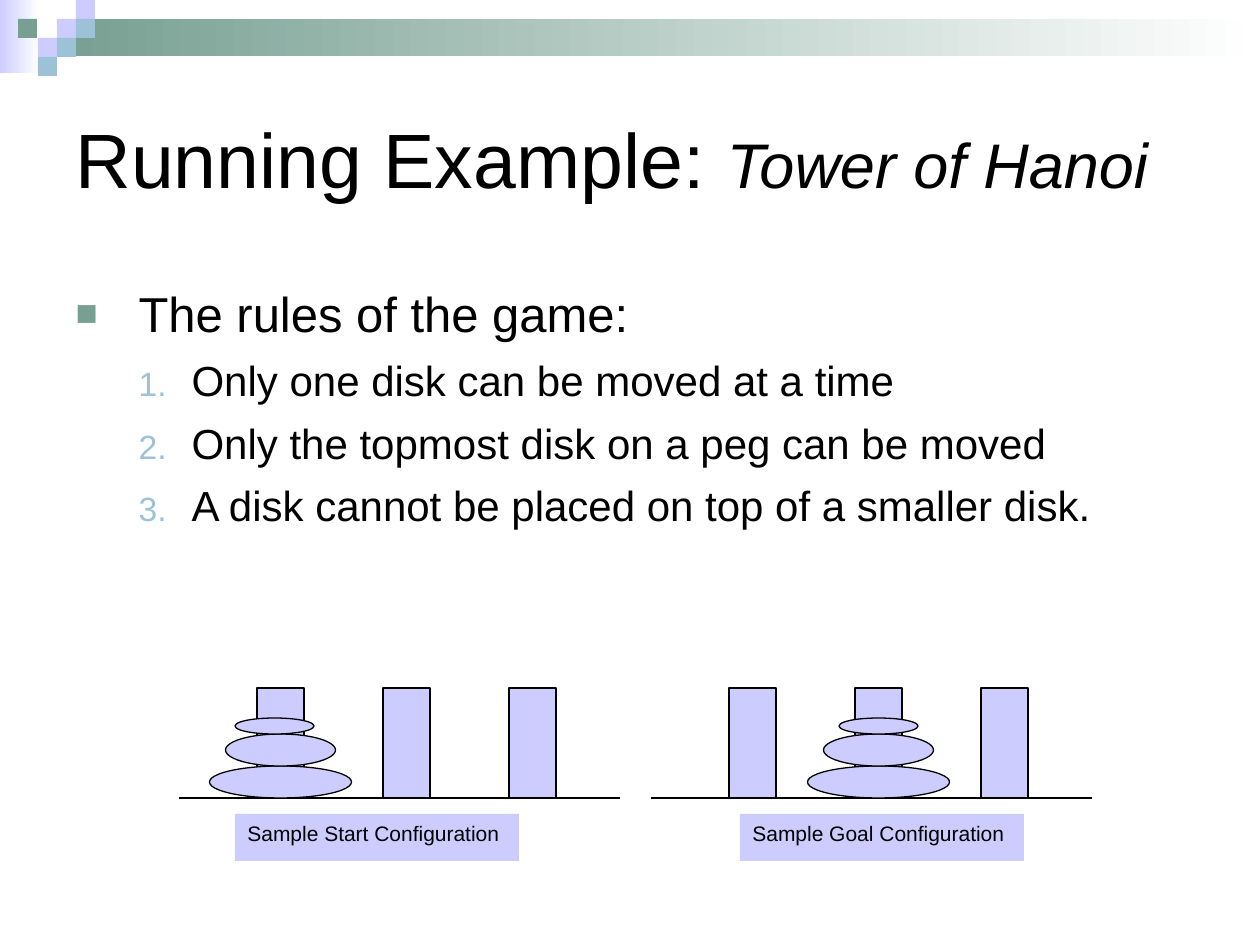
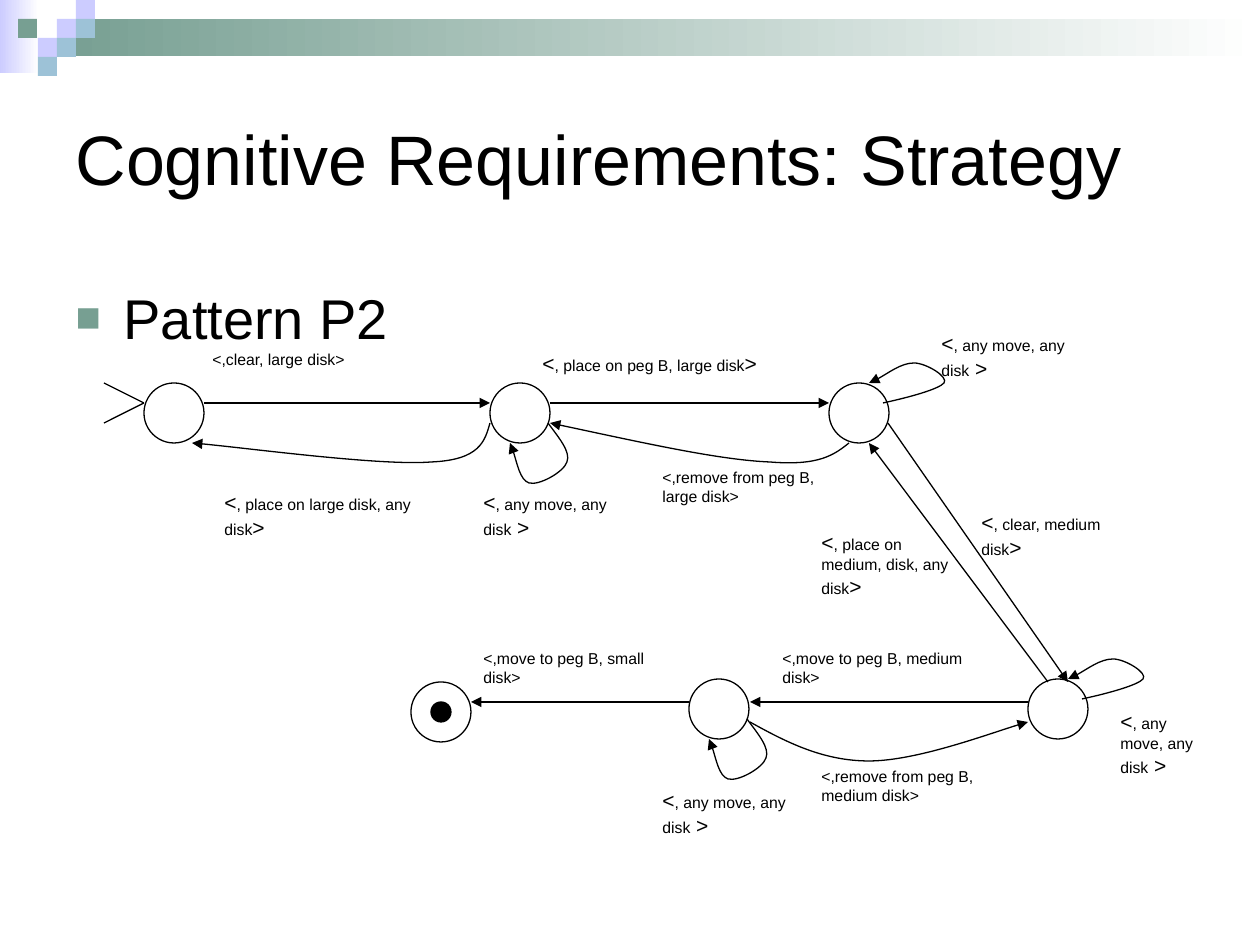
from dataclasses import dataclass

from lxml import etree
from pptx import Presentation
from pptx import util as u
from pptx.dml.color import RGBColor
from pptx.enum import shapes, text
from pptx.oxml.ns import qn


@dataclass(frozen=True)
class Theme:
    font: str = "Arial"
    black: str = "000000"
    white: str = "FFFFFF"
    lavender: str = "CCCCFF"
    green: str = "779F92"
    blue: str = "9DC2D7"
    hairline: float = 0.75
    title: int = 44
    title_long: int = 40
    subtitle: int = 36
    lead: int = 28
    lead_alone: int = 32
    rule: int = 24
    caption: int = 12
    bracket: int = 12
    label: int = 9


T = Theme()
SLIDE_W, SLIDE_H, PX_PER_INCH = 1260, 945, 126
SCALE = u.Inches(1) / PX_PER_INCH

# Shared frame: (left, top, width, height, colour)
FADES = [(0, 0, 39, 73, T.lavender), (57, 19, 1203, 37, T.green)]
SQUARE = 19
SQUARES = [(57, 19, T.lavender), (76, 0, T.lavender), (76, 19, T.blue),
           (38, 38, T.lavender), (18, 19, T.green), (57, 38, T.blue),
           (38, 57, T.blue)]
TITLE_BOX = (63, 63, 1134, 189)

# Slide 1
HANOI_TITLE = [("Running Example: ", T.title, False),
               ("Tower of Hanoi", T.subtitle, True)]
HANOI_BODY_BOX = (63, 277, 1134, 368)
RULES_LEAD = "The rules of the game:"
RULES = ["Only one disk can be moved at a time",
         "Only the topmost disk on a peg can be moved",
         "A disk cannot be placed on top of a smaller disk."]
PEG_W, PEG_H, PEG_STEP, PEG_INSET = 47, 110, 126, 78
GROUND_Y, GROUND_W = 798, 441
DISKS = [(142, 32), (110, 32), (79, 16)]  # bottom to top
# left edge, loaded peg, shift of the top disk, caption left, caption
BOARDS = [(179, 0, -6, 235, "Sample Start Configuration"),
          (651, 1, 0, 740, "Sample Goal Configuration")]
CAPTION_TOP, CAPTION_W, CAPTION_H = 814, 284, 47

# Slide 2
STRATEGY_TITLE = [("Cognitive Requirements: Strategy", T.title_long, False)]
STRATEGY_BODY_BOX = (63, 277, 1134, 536)
PATTERN = "Pattern P2"
STATE_D, FINAL_DOT_D = 60, 20
STATES = {"start": (144, 383), "large clear": (490, 383),
          "large placed": (829, 383), "medium clear": (1028, 679),
          "medium placed": (689, 679), "final": (411, 682)}
ANY_MOVE = "<, any move, any disk >"
# box, text, brackets set larger
LABELS = [((471, 643, 219, 59), "<,move to peg B, small disk>", False),
          ((809, 523, 159, 140), "<, place on medium, disk, any disk>", True),
          ((200, 344, 339, 40), "<,clear, large disk>", False),
          ((530, 344, 378, 40), "<, place on peg B, large disk>", True),
          ((212, 483, 219, 79), "<, place on large disk, any disk>", True),
          ((650, 462, 199, 59), "<,remove from peg B, large disk>", False),
          ((471, 483, 159, 79), ANY_MOVE, True),
          ((929, 324, 159, 79), ANY_MOVE, True),
          ((969, 503, 179, 79), "<, clear, medium disk>", True),
          ((770, 643, 219, 59), "<,move to peg B, medium disk>", False),
          ((650, 781, 159, 79), ANY_MOVE, True),
          ((1108, 702, 100, 120), ANY_MOVE, True),
          ((809, 761, 219, 59), "<,remove from peg B, medium disk>", False)]
ENTRY_MARK = [(104, 383, 144, 403), (144, 403, 104, 423)]
ARROWS = [(204, 403, 490, 403), (550, 403, 829, 403), (888, 423, 1068, 682),
          (1048, 682, 869, 443), (689, 702, 471, 702), (1028, 702, 750, 702)]
RETURN_CURVES = [
    [(490, 423), (485, 441), (480, 460), (431, 462), (381, 466), (232, 446), (192, 443)],
    [(849, 443), (834, 455), (819, 466), (770, 462), (719, 460), (635, 441), (550, 423)],
    [(750, 722), (786, 742), (823, 761), (869, 761), (916, 761), (1002, 729), (1028, 722)]]
# Self loops, measured from the corner of their state
LOOP_RIGHT = [(54, 20), (82, 14), (110, 6), (115, 0), (120, -6),
              (97, -20), (85, -20), (72, -20), (48, -2), (40, 0)]
LOOP_BELOW = [(58, 40), (69, 55), (81, 69), (77, 79), (74, 89),
              (49, 103), (39, 100), (30, 97), (24, 67), (20, 60)]
LOOPS = [("large placed", LOOP_RIGHT), ("medium clear", LOOP_RIGHT),
         ("large clear", LOOP_BELOW), ("medium placed", LOOP_BELOW)]


# Helpers
def px(*lengths):
    return [u.Emu(round(n * SCALE)) for n in lengths]


def rgb(colour):
    return RGBColor.from_string(colour)


def style_run(run, size, italic=False):
    run.font.name, run.font.size = T.font, u.Pt(size)
    run.font.italic = italic
    run.font.color.rgb = rgb(T.black)


def add_runs(paragraph, parts):
    paragraph.alignment = text.PP_ALIGN.LEFT
    for words, size, italic in parts:
        run = paragraph.add_run()
        run.text = words
        style_run(run, size, italic)


def outline(line):
    line.color.rgb = rgb(T.black)
    line.width = u.Pt(T.hairline)


def add_solid(slide, kind, box, fill, outlined=False):
    solid = slide.shapes.add_shape(kind, *px(*box))
    solid.shadow.inherit = False
    solid.fill.solid()
    solid.fill.fore_color.rgb = rgb(fill)
    if outlined:
        outline(solid.line)
    else:
        solid.line.fill.background()
    return solid


def add_label(slide, box, fill, parts):
    frame = add_solid(slide, shapes.MSO_SHAPE.RECTANGLE, box, fill).text_frame
    frame.word_wrap = True
    frame.vertical_anchor = text.MSO_ANCHOR.TOP
    add_runs(frame.paragraphs[0], parts)


def add_arrowhead(stroke):
    ln = stroke._element.spPr.find(qn("a:ln"))
    etree.SubElement(ln, qn("a:tailEnd"), type="triangle")


def add_line(slide, ends, arrow=False):
    line = slide.shapes.add_connector(shapes.MSO_CONNECTOR.STRAIGHT, *px(*ends))
    outline(line.line)
    if arrow:
        add_arrowhead(line)
    etree.SubElement(line._element.spPr, qn("a:effectLst"))


def add_curve(slide, points):
    """Draw cubic curves: a start, then two controls and an end for each."""
    builder = slide.shapes.build_freeform(*points[0], scale=SCALE)
    builder.add_line_segments(points[1:], close=False)
    curve = builder.convert_to_shape()
    path = curve._element.spPr.find(".//" + qn("a:path"))
    segments = path.findall(qn("a:lnTo"))
    for i in range(0, len(segments), 3):
        bezier = etree.SubElement(path, qn("a:cubicBezTo"))
        for segment in segments[i:i + 3]:
            bezier.append(segment[0])
            path.remove(segment)
    curve.shadow.inherit = False
    curve.fill.background()
    outline(curve.line)
    add_arrowhead(curve)


def set_bullet(paragraph, margin, hang, colour, percent, tag, **mark):
    pPr = paragraph._p.get_or_add_pPr()
    pPr.set("marL", str(px(margin)[0]))
    pPr.set("indent", str(px(-hang)[0]))
    etree.SubElement(etree.SubElement(pPr, qn("a:buClr")), qn("a:srgbClr"), val=colour)
    etree.SubElement(pPr, qn("a:buSzPct"), val=str(percent * 1000))
    etree.SubElement(pPr, qn("a:buFont"), typeface=T.font)
    etree.SubElement(pPr, qn(tag), **mark)


def place(holder, box):
    holder.left, holder.top, holder.width, holder.height = px(*box)
    holder.text_frame.auto_size = text.MSO_AUTO_SIZE.NONE
    holder.text_frame.word_wrap = True
    return holder.text_frame


def start_slide(prs, title_parts, body_box, lead, lead_size, hang):
    slide = prs.slides.add_slide(prs.slide_layouts[1])
    title = place(slide.shapes.title, TITLE_BOX)
    title.vertical_anchor = text.MSO_ANCHOR.MIDDLE
    add_runs(title.paragraphs[0], title_parts)
    body = place(slide.placeholders[1], body_box)
    body.text = lead
    first = body.paragraphs[0]
    set_bullet(first, hang, hang, T.green, 75, "a:buChar", char="■")
    first.space_before = u.Pt(0)
    style_run(first.runs[0], lead_size)
    return slide, body


def move_frame_to_master(prs, slide):
    """Draw the band and squares, then hand them to the slide master."""
    frame = []
    for *box, colour in FADES:
        fade = add_solid(slide, shapes.MSO_SHAPE.RECTANGLE, box, colour)
        fade.fill.gradient()
        fade.fill.gradient_angle = 0
        for stop, tint in zip(fade.fill.gradient_stops, (colour, T.white)):
            stop.color.rgb = rgb(tint)
        frame.append(fade)
    for x, y, colour in SQUARES:
        frame.append(add_solid(slide, shapes.MSO_SHAPE.RECTANGLE,
                               (x, y, SQUARE, SQUARE), colour))
    tree = prs.slide_master.shapes._spTree
    for depth, part in enumerate(frame, start=2):
        tree.insert(depth, part._element)


def add_board(slide, left, loaded, top_shift, caption_left, caption):
    peg_lefts = [left + PEG_INSET + i * PEG_STEP for i in range(3)]
    for x in peg_lefts:
        add_solid(slide, shapes.MSO_SHAPE.RECTANGLE,
                  (x, GROUND_Y - PEG_H, PEG_W, PEG_H), T.lavender, True)
    add_line(slide, (left, GROUND_Y, left + GROUND_W, GROUND_Y))
    middle, y = peg_lefts[loaded] + PEG_W / 2, GROUND_Y
    for w, h in DISKS:
        y -= h
        shift = top_shift if (w, h) == DISKS[-1] else 0
        add_solid(slide, shapes.MSO_SHAPE.OVAL,
                  (middle - w / 2 + shift, y, w, h), T.lavender, True)
    add_label(slide, (caption_left, CAPTION_TOP, CAPTION_W, CAPTION_H),
              T.lavender, [(caption, T.caption, False)])


def build_hanoi(prs):
    slide, body = start_slide(prs, HANOI_TITLE, HANOI_BODY_BOX, RULES_LEAD, T.lead, 63)
    for rule in RULES:
        item = body.add_paragraph()
        item.text, item.level = rule, 1
        set_bullet(item, 116, 53, T.blue, 80, "a:buAutoNum", type="arabicPeriod")
        item.space_before = u.Pt(7)
        style_run(item.runs[0], T.rule)
    for board in BOARDS:
        add_board(slide, *board)
    return slide


def build_strategy(prs):
    slide, _ = start_slide(prs, STRATEGY_TITLE, STRATEGY_BODY_BOX, PATTERN,
                           T.lead_alone, 48)
    # Transition labels
    for box, words, large in LABELS:
        size = T.bracket if large else T.label
        cut = len(words.rstrip("> "))
        parts = [(words[0], size, False), (words[1:cut], T.label, False),
                 (words[cut:], size, False)]
        add_label(slide, box, T.white, parts)
    # States
    for x, y in STATES.values():
        add_solid(slide, shapes.MSO_SHAPE.OVAL, (x, y, STATE_D, STATE_D), T.white, True)
    inset = (STATE_D - FINAL_DOT_D) / 2
    x, y = STATES["final"]
    add_solid(slide, shapes.MSO_SHAPE.OVAL,
              (x + inset, y + inset, FINAL_DOT_D, FINAL_DOT_D), T.black, True)
    # Transitions
    for ends in ENTRY_MARK:
        add_line(slide, ends)
    for ends in ARROWS:
        add_line(slide, ends, arrow=True)
    for points in RETURN_CURVES:
        add_curve(slide, points)
    for state, loop in LOOPS:
        x, y = STATES[state]
        add_curve(slide, [(x + dx, y + dy) for dx, dy in loop])


def main():
    prs = Presentation()
    prs.slide_width, prs.slide_height = px(SLIDE_W, SLIDE_H)
    hanoi = build_hanoi(prs)
    move_frame_to_master(prs, hanoi)
    build_strategy(prs)
    prs.save("out.pptx")


if __name__ == "__main__":
    main()
